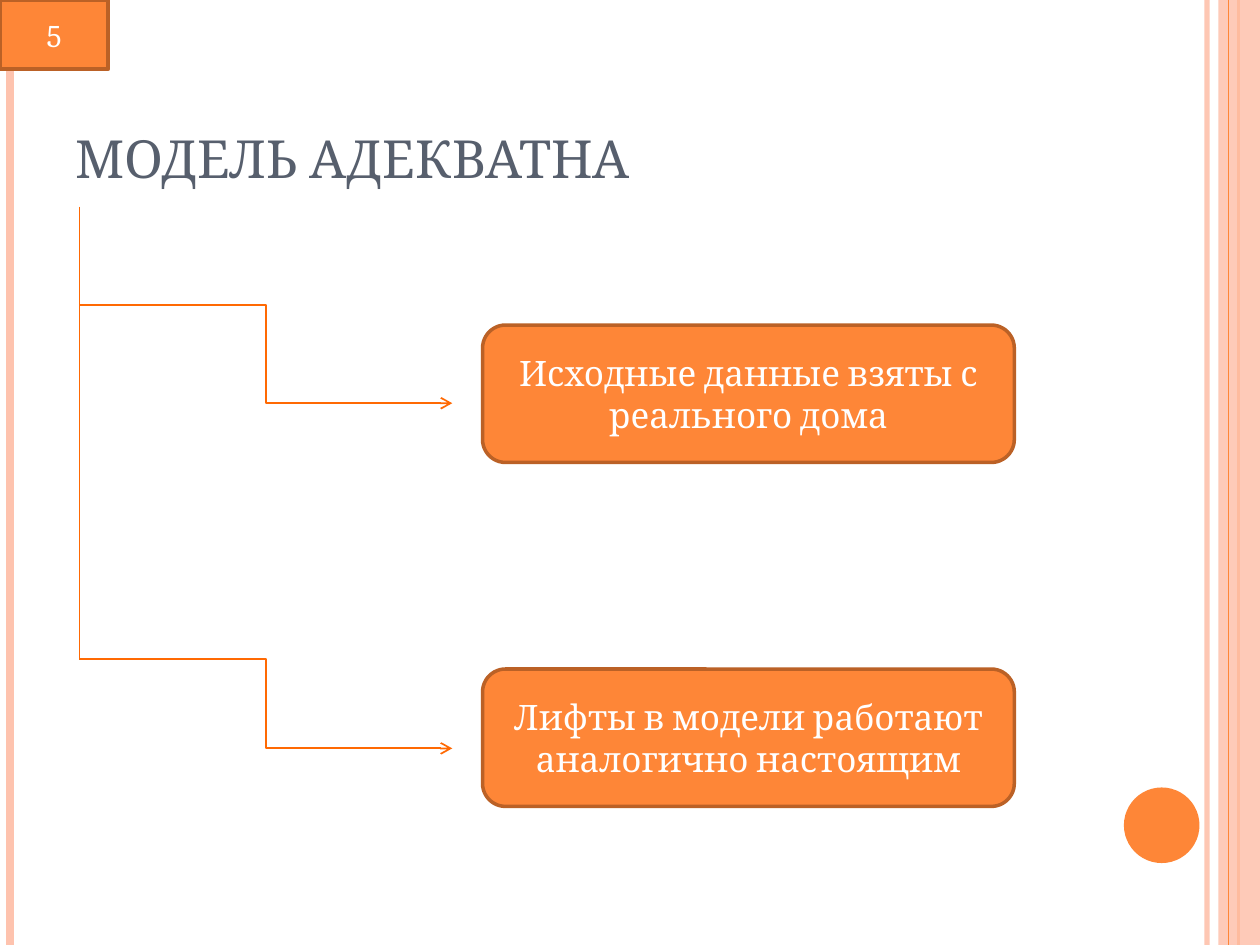
from lxml import etree
from pptx import Presentation
from pptx.dml.color import RGBColor
from pptx.enum import shapes, text
from pptx.oxml.ns import qn
from pptx.util import Inches, Pt

FONT = "Cambria"
COLORS = {"orange": "FE8637", "edge": "BB6126", "arrow": "FF6903",
          "peach": "FEC3AE", "title": "575F6D", "white": "FFFFFF"}

# Content
TITLE = "МОДЕЛЬ АДЕКВАТНА"
PAGE = "5"
# text, box top, arrow start y, arrow end y
REASONS = [
    ("Исходные данные взяты с реального дома", 2.58, 2.42, 3.2),
    ("Лифты в модели работают аналогично настоящим", 5.31, 5.23, 5.94),
]
# x, colour, width, opacity in percent
EDGE_LINES = [(9.58, "peach", 3, 93), (0.08, "peach", 4.5, 100),
              (9.83, "orange", 1.5, 100)]
INNER_LINE = (9.75, "orange", 0.75, 100)
TRUNK_X, TRUNK_TOP, ARROW_END = 0.63, 1.64, 3.59
BOX_X, BOX_W, BOX_H = 3.83, 4.22, 1.09

prs = Presentation()
prs.slide_width, prs.slide_height = Inches(10), Inches(7.5)
s = prs.slides.add_slide(prs.slide_layouts[5])


def rgb(name):
    return RGBColor.from_string(COLORS[name])


def set_opacity(sp, percent):
    color = next(sp._element.spPr.iter(qn("a:srgbClr")))
    etree.SubElement(color, qn("a:alpha")).set("val", str(percent * 1000))


def add_line(x1, y1, x2, y2, color, width, kind="STRAIGHT", arrow=False):
    c = s.shapes.add_connector(shapes.MSO_CONNECTOR[kind],
                               *map(Inches, (x1, y1, x2, y2)))
    c.line.color.rgb = rgb(color)
    c.line.width = Pt(width)
    if arrow:
        etree.SubElement(c.line._get_or_add_ln(), qn("a:tailEnd")).set("type", "arrow")
    etree.SubElement(c._element.spPr, qn("a:effectLst"))
    return c


def add_edge_line(x, color, width, opacity):
    c = add_line(x, 0, x, 7.5, color, width)
    if opacity < 100:
        set_opacity(c, opacity)


def add_shape(kind, x, y, w, h, fill, edge=None):
    sp = s.shapes.add_shape(shapes.MSO_SHAPE[kind], *map(Inches, (x, y, w, h)))
    sp.shadow.inherit = False
    sp.fill.solid()
    sp.fill.fore_color.rgb = rgb(fill)
    if edge:
        sp.line.color.rgb = rgb(edge)
        sp.line.width = Pt(2)
    else:
        sp.line.fill.background()
    return sp


def set_text(sp, words, size, color, align, anchor):
    tf = sp.text_frame
    tf.text = words
    tf.word_wrap = True
    tf.auto_size = text.MSO_AUTO_SIZE.NONE
    tf.vertical_anchor = text.MSO_ANCHOR[anchor]
    p = tf.paragraphs[0]
    p.alignment = text.PP_ALIGN[align]
    f = p.runs[0].font
    f.name, f.size, f.color.rgb = FONT, Pt(size), rgb(color)


def add_label(kind, x, y, w, h, words, size):
    sp = add_shape(kind, x, y, w, h, "orange", "edge")
    set_text(sp, words, size, "white", "CENTER", "MIDDLE")


# Side decoration
for line in EDGE_LINES:
    add_edge_line(*line)
set_opacity(add_shape("RECTANGLE", 9.67, 0, 0.33, 7.5, "peach"), 87)
add_edge_line(*INNER_LINE)
add_shape("OVAL", 8.92, 6.25, 0.6, 0.6, "orange")

# Title
title = s.shapes.title
title.left, title.top, title.width, title.height = map(Inches, (0.5, 0.3, 8.17, 1.25))
set_text(title, TITLE, 30, "title", "LEFT", "BOTTOM")

# Trunk and branches
for _, _, start, end in REASONS:
    add_line(TRUNK_X, start, ARROW_END, end, "arrow", 1, "ELBOW", arrow=True)
add_line(TRUNK_X, TRUNK_TOP, TRUNK_X, REASONS[-1][2], "arrow", 1)

# Reason boxes
for words, top, _, _ in REASONS:
    add_label("ROUNDED_RECTANGLE", BOX_X, top, BOX_W, BOX_H, words, 20)

# Page number
add_label("RECTANGLE", 0, 0, 0.86, 0.55, PAGE, 18)

prs.save("out.pptx")
